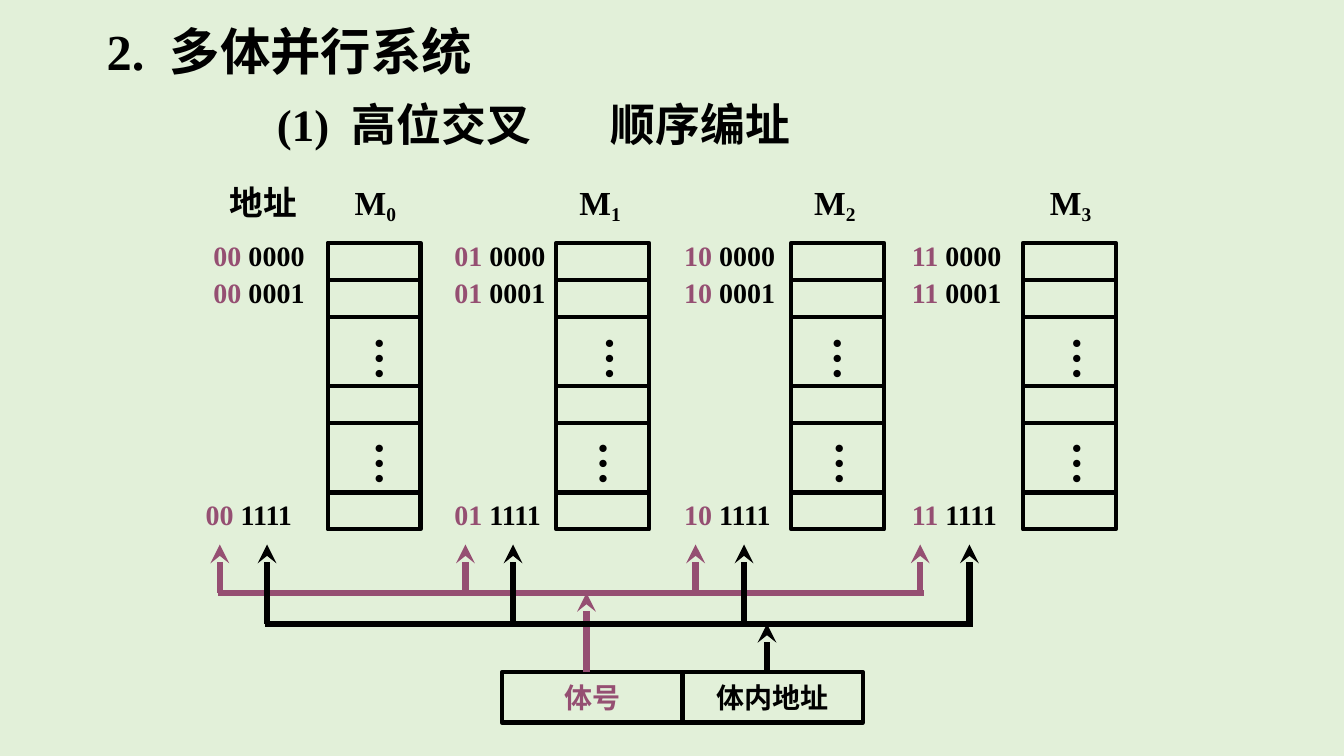
from dataclasses import dataclass

from lxml.etree import SubElement
from pptx import Presentation
from pptx.dml.color import RGBColor
from pptx.enum.shapes import MSO_CONNECTOR, MSO_SHAPE
from pptx.enum.text import MSO_ANCHOR, MSO_AUTO_SIZE, PP_ALIGN
from pptx.oxml.ns import qn
from pptx.util import Cm, Pt


@dataclass(frozen=True)
class Theme:
    background: RGBColor = RGBColor(0xE2, 0xF0, 0xD9)
    ink: RGBColor = RGBColor(0, 0, 0)
    accent: RGBColor = RGBColor(0x95, 0x4F, 0x72)
    font: str = "Times New Roman"
    title: int = 36
    heading: int = 32
    label: int = 24
    body: int = 20
    cell_line: float = 3
    bus_line: float = 4.5


THEME = Theme()

# Lengths are centimetres.
# Headings: number, words, type size, (left, top, width, height)
HEADINGS = [
    ("2.", "多体并行系统", THEME.title, (2.44, 0.38, 10.16, 1.78)),
    ("(1)", "高位交叉", THEME.heading, (6.73, 2.31, 15.01, 1.6)),
    ("", "顺序编址", THEME.heading, (15.14, 2.31, 15.01, 1.6)),
]
ADDRESS_CAPTION = ("地址", (5.54, 4.45, 2.24, 1.3))

# Lefts of each memory module's parts; "dots" holds the upper and lower ellipsis,
# "addresses" the three address rows.
MODULES = [
    {"number": "00", "cells": 8.26, "label": 8.69, "dots": (8.86, 8.86), "addresses": (5.13, 5.13, 4.93)},
    {"number": "01", "cells": 14.02, "label": 14.35, "dots": (14.66, 14.5), "addresses": (11.2,) * 3},
    {"number": "10", "cells": 19.94, "label": 20.27, "dots": (20.4, 20.45), "addresses": (16.99,) * 3},
    {"number": "11", "cells": 25.78, "label": 26.21, "dots": (26.44, 26.44), "addresses": (22.73,) * 3},
]
CELL_TOP, CELL_WIDTH = 6.12, 2.34
CELL_HEIGHTS = (0.93, 0.93, 1.75, 0.93, 1.75, 0.93)
DOT_TOPS = (8.23, 10.87)
ADDRESS_ROWS = [("0000", 5.89), ("0001", 6.83), ("1111", 12.42)]

# Each field of the address feeds a bus, which points up at every module.
FIELD_TOP, FIELD_WIDTH, FIELD_HEIGHT = 16.94, 4.55, 1.27
ARROW_TIP = 13.72
FIELDS = [
    {"text": "体号", "left": 12.65, "color": THEME.accent, "feed": 14.78,
     "bus": (5.49, 23.29, 14.94), "arrows": (5.54, 11.73, 17.53, 23.19)},
    {"text": "体内地址", "left": 17.2, "color": THEME.ink, "feed": 19.33,
     "bus": (6.68, 24.51, 15.72), "arrows": (6.73, 12.93, 18.75, 24.43)},
]


def set_attributes(target, values):
    for name, value in values.items():
        setattr(target, name, value)


def add_run(paragraph, text, size, color=THEME.ink, **properties):
    """Add bold text; properties are extra run attributes such as baseline or spc."""
    run = paragraph.add_run()
    run.text = text
    set_attributes(run.font, {"name": THEME.font, "size": Pt(size), "bold": True})
    run.font.color.rgb = color
    for name, value in properties.items():
        run._r.get_or_add_rPr().set(name, str(value))


def add_text_box(slide, box, wrap=False):
    """Return the text frame of a new box."""
    frame = slide.shapes.add_textbox(*map(Cm, box)).text_frame
    set_attributes(frame, {"word_wrap": wrap, "auto_size": MSO_AUTO_SIZE.SHAPE_TO_FIT_TEXT})
    return frame


def add_rectangle(slide, box):
    shape = slide.shapes.add_shape(MSO_SHAPE.RECTANGLE, *map(Cm, box))
    shape.shadow.inherit = False
    shape.fill.background()
    shape.line.color.rgb = THEME.ink
    shape.line.width = Pt(THEME.cell_line)
    return shape


def add_line(slide, start, end, color, arrow=True):
    connector = slide.shapes.add_connector(MSO_CONNECTOR.STRAIGHT, *map(Cm, start + end))
    connector.line.color.rgb = color
    connector.line.width = Pt(THEME.bus_line)
    if arrow:
        SubElement(connector.line._get_or_add_ln(), qn("a:tailEnd"), type="stealth")
    SubElement(connector._element.spPr, qn("a:effectLst"))


def add_heading(slide, number, words, size, box):
    paragraph = add_text_box(slide, box, wrap=True).paragraphs[0]
    if number:
        add_run(paragraph, number, size)
        # Widen the space to twice its natural quarter em.
        add_run(paragraph, " ", size, spc=size * 25)
    add_run(paragraph, words, size)


def add_module(slide, index, module):
    label = add_text_box(slide, (module["label"], 4.45, 1.6, 1.27)).paragraphs[0]
    add_run(label, "M", THEME.label)
    add_run(label, str(index), THEME.label, baseline=-20000)

    top = CELL_TOP
    for height in CELL_HEIGHTS:
        add_rectangle(slide, (module["cells"], top, CELL_WIDTH, height))
        top += height

    for left, dot_top in zip(module["dots"], DOT_TOPS):
        frame = add_text_box(slide, (left, dot_top, 1.88, 1.4))
        frame._txBody.bodyPr.set("vert", "eaVert")
        add_run(frame.paragraphs[0], "…", THEME.heading)

    for left, (offset, row_top) in zip(module["addresses"], ADDRESS_ROWS):
        paragraph = add_text_box(slide, (left, row_top, 2.92, 1.09), wrap=True).paragraphs[0]
        add_run(paragraph, module["number"], THEME.body, THEME.accent)
        add_run(paragraph, " " + offset, THEME.body)


def add_field(slide, field):
    """Draw one address field with its bus and arrows."""
    color = field["color"]
    shape = add_rectangle(slide, (field["left"], FIELD_TOP, FIELD_WIDTH, FIELD_HEIGHT))
    shape.text_frame.vertical_anchor = MSO_ANCHOR.MIDDLE
    paragraph = shape.text_frame.paragraphs[0]
    paragraph.alignment = PP_ALIGN.CENTER
    add_run(paragraph, field["text"], THEME.body, color)

    start, end, bus_top = field["bus"]
    add_line(slide, (start, bus_top), (end, bus_top), color, arrow=False)
    for left in field["arrows"]:
        add_line(slide, (left, bus_top), (left, ARROW_TIP), color)
    add_line(slide, (field["feed"], FIELD_TOP), (field["feed"], bus_top), color)


def main():
    presentation = Presentation()
    set_attributes(presentation, {"slide_width": Cm(33.87), "slide_height": Cm(19.05)})
    slide = presentation.slides.add_slide(presentation.slide_layouts[6])
    slide.background.fill.solid()
    slide.background.fill.fore_color.rgb = THEME.background

    for heading in HEADINGS:
        add_heading(slide, *heading)
    caption, caption_box = ADDRESS_CAPTION
    add_run(add_text_box(slide, caption_box).paragraphs[0], caption, THEME.label)
    for index, module in enumerate(MODULES):
        add_module(slide, index, module)
    for field in FIELDS:
        add_field(slide, field)
    presentation.save("out.pptx")


if __name__ == "__main__":
    main()
